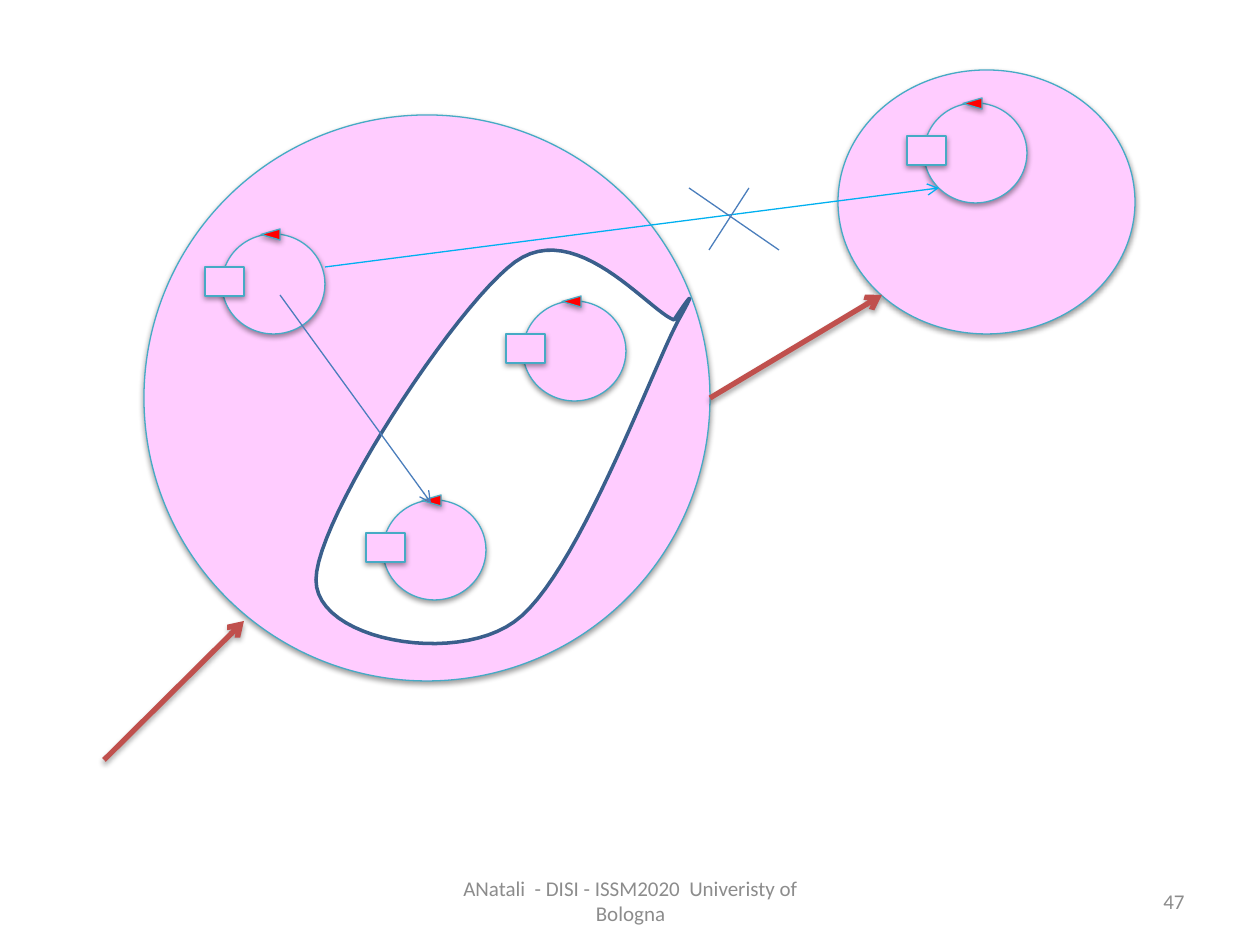
from dataclasses import dataclass

from lxml.etree import SubElement
from pptx import Presentation
from pptx.dml.color import RGBColor
from pptx.enum.shapes import MSO_CONNECTOR, MSO_SHAPE
from pptx.enum.text import MSO_ANCHOR, PP_ALIGN
from pptx.oxml.ns import qn
from pptx.util import Emu, Pt


@dataclass(frozen=True)
class Theme:
    pink: str = "FFCCFF"
    white: str = "FFFFFF"
    red: str = "FF0000"
    teal: str = "46AAC5"
    navy: str = "3A5F8C"
    blue: str = "4B7EBC"
    sky: str = "00B0F0"
    brick: str = "C0504D"
    gray: str = "8C8C8C"
    black: str = "000000"
    font: str = "Calibri"
    size: int = 12
    thin: float = 0.75
    mid: float = 2
    thick: float = 3


def px(count):
    return Emu(round(count * 914400 / 126))


def bend(start, curve, steps=24):
    points = (start, *curve)
    for step in range(1, steps + 1):
        t = step / steps
        u = 1 - t
        parts = (u ** 3, 3 * u * u * t, 3 * u * t * t, t ** 3)
        yield tuple(px(sum(w * p[axis] for w, p in zip(parts, points))) for axis in (0, 1))


class Sketch:
    """Draws styled elements on one slide, measured in px."""

    def __init__(self, slide, theme):
        self.slide = slide
        self.theme = theme

    def stroke(self, line, color, width):
        line.color.rgb = RGBColor.from_string(color)
        line.width = Pt(width)

    def paint(self, shape, fill, color, width):
        shape.shadow.inherit = False
        shape.fill.solid()
        shape.fill.fore_color.rgb = RGBColor.from_string(fill)
        self.stroke(shape.line, color, width)

    def shade(self, effect, alpha, drop):
        shadow = SubElement(effect, qn("a:outerShdw"), blurRad="40000", dist=str(drop),
                            dir="5400000", rotWithShape="0")
        color = SubElement(shadow, qn("a:srgbClr"), val=self.theme.black)
        SubElement(color, qn("a:alpha"), val=str(alpha))

    def shape(self, kind, box, fill=None, turn=0, home=None):
        host = home or self.slide
        shape = host.shapes.add_shape(kind, *map(px, box))
        shape.rotation = turn
        self.paint(shape, fill or self.theme.pink, self.theme.teal, self.theme.thin)
        self.shade(shape.element.spPr.find(qn("a:effectLst")), 38000, 20000)

    def actor(self, x, y):
        group = self.slide.shapes.add_group_shape()
        self.shape(MSO_SHAPE.OVAL, (x, y, 103, 100), home=group)
        self.shape(MSO_SHAPE.RECTANGLE, (x - 17, y + 33, 39, 29), home=group)
        self.shape(MSO_SHAPE.ISOSCELES_TRIANGLE, (x + 43, y - 9, 11, 19),
                   self.theme.red, 270, group)

    def region(self, start, curves):
        points = []
        pen = start
        for curve in curves:
            points.extend(bend(pen, curve))
            pen = curve[-1]
        form = self.slide.shapes.build_freeform(*map(px, start))
        form.add_line_segments(points, close=True)
        self.paint(form.convert_to_shape(), self.theme.white, self.theme.navy, self.theme.mid)

    def line(self, start, end, color, width=None, head=True, shadow=False):
        line = self.slide.shapes.add_connector(MSO_CONNECTOR.STRAIGHT, *map(px, start + end))
        self.stroke(line.line, color, width or self.theme.thin)
        frame = line.element.spPr
        if head:
            SubElement(frame.find(qn("a:ln")), qn("a:tailEnd"), type="arrow")
        effect = SubElement(frame, qn("a:effectLst"))
        if shadow:
            self.shade(effect, 35000, 23000)

    def text(self, words, box, align):
        frame = self.slide.shapes.add_textbox(*map(px, box)).text_frame
        frame.word_wrap = True
        frame.vertical_anchor = MSO_ANCHOR.MIDDLE
        para = frame.paragraphs[0]
        para.text = words
        para.alignment = align
        para.font.name = self.theme.font
        para.font.size = Pt(self.theme.size)
        para.font.color.rgb = RGBColor.from_string(self.theme.gray)


def main():
    deck = Presentation()
    deck.slide_width, deck.slide_height = px(1260), px(945)
    theme = Theme()
    sketch = Sketch(deck.slides.add_slide(deck.slide_layouts[6]), theme)

    sketch.shape(MSO_SHAPE.OVAL, (144, 115, 566, 566))
    sketch.region((316, 580), (
        ((316, 640), (454, 665), (514, 622)),
        ((575, 580), (651, 372), (678, 321)),
        ((706, 271), (674, 320), (674, 320)),
        ((648, 310), (576, 218), (515, 262)),
        ((455, 306), (316, 519), (316, 580)),
    ))
    sketch.text("ANatali  - DISI - ISSM2020  Univeristy of Bologna",
                (431, 876, 399, 50), PP_ALIGN.CENTER)
    sketch.text("47", (903, 876, 294, 50), PP_ALIGN.RIGHT)
    for spot in ((222, 234), (523, 301), (383, 500)):
        sketch.actor(*spot)
    sketch.line((280, 295), (431, 503), theme.blue)
    sketch.line((104, 760), (244, 621), theme.brick, theme.thick, shadow=True)
    sketch.shape(MSO_SHAPE.OVAL, (838, 70, 297, 264))
    sketch.line((710, 398), (882, 295), theme.brick, theme.thick, shadow=True)
    sketch.actor(924, 103)
    sketch.line((325, 267), (939, 188), theme.sky)
    sketch.line((689, 188), (779, 250), theme.blue, head=False)
    sketch.line((749, 188), (709, 250), theme.blue, head=False)
    deck.save("out.pptx")


if __name__ == "__main__":
    main()
